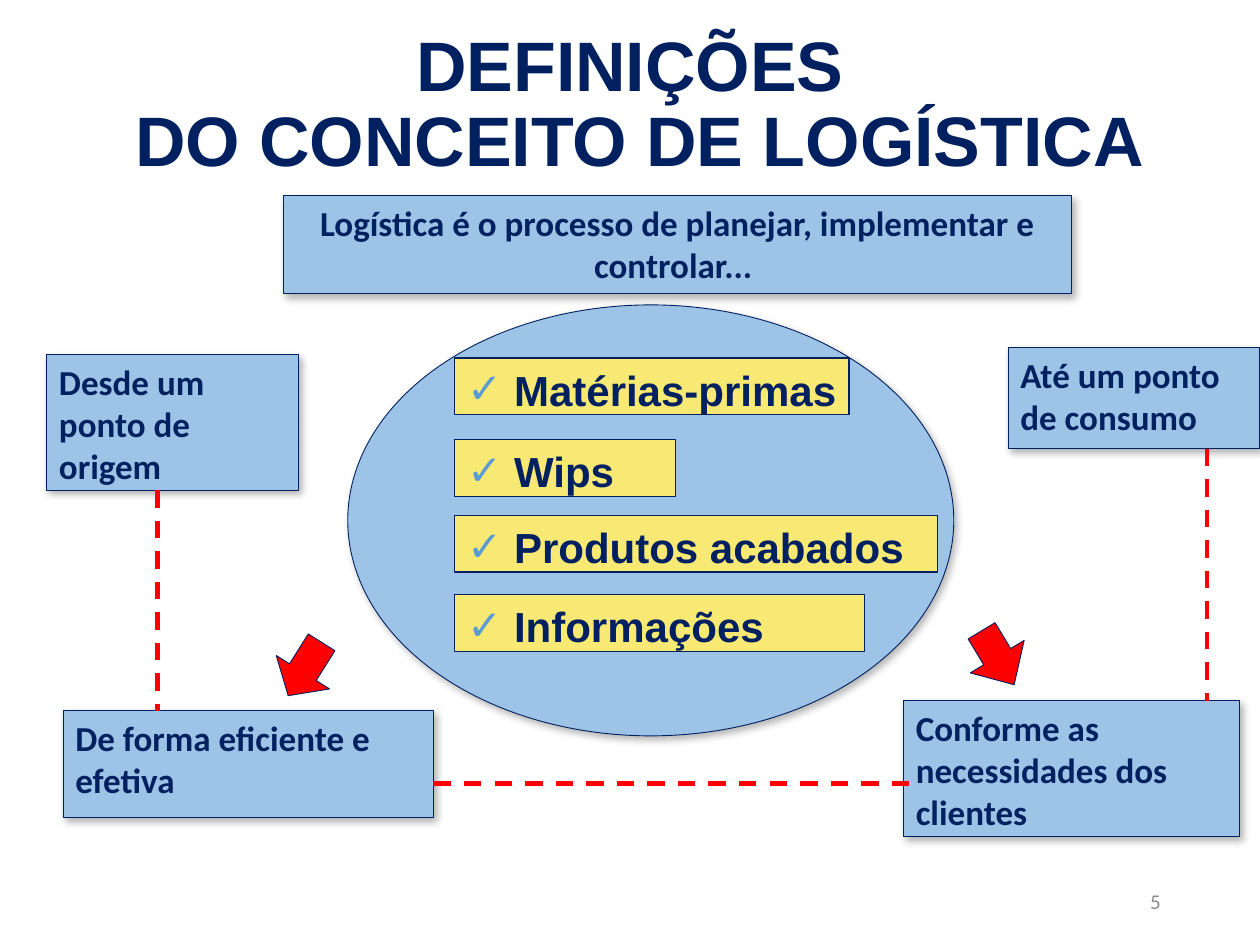
import pptx
import pptx.util
from lxml import etree
from pptx.dml.color import RGBColor
from pptx.enum.dml import MSO_LINE
from pptx.enum.shapes import MSO_CONNECTOR, MSO_SHAPE
from pptx.enum.text import MSO_ANCHOR, PP_ALIGN
from pptx.oxml.ns import qn

NAVY = RGBColor(0x00, 0x20, 0x60)
SKY = RGBColor(0x9D, 0xC3, 0xE6)
YELLOW = RGBColor(0xF8, 0xE8, 0x74)
RED = RGBColor(0xFF, 0x00, 0x00)
GRAY = RGBColor(0x8C, 0x8C, 0x8C)
CHECK = RGBColor(0x5B, 0x9B, 0xD5)
WHITE = RGBColor(0xFF, 0xFF, 0xFF)
COLS, ROWS = 100, 75


def write(tf, text, font="Calibri", size=20, color=NAVY, bold=True,
          align=PP_ALIGN.LEFT, anchor=MSO_ANCHOR.TOP, spacing=None):
    """Fill a text frame with one formatted paragraph and return it."""
    tf.word_wrap = True
    tf.vertical_anchor = anchor
    p = tf.paragraphs[0]
    p.text = text
    p.alignment = align
    if spacing:
        p.line_spacing = spacing
    for r in p.runs:
        r.font.name, r.font.size, r.font.bold = font, pptx.util.Pt(size), bold
        r.font.color.rgb = color
    return p


def add_check(p, indent):
    """Give a paragraph a check mark bullet with a hanging indent."""
    pPr = p._p.get_or_add_pPr()
    pPr.set("marL", str(indent))
    pPr.set("indent", str(-indent))
    clr = etree.SubElement(pPr, qn("a:buClr"))
    etree.SubElement(clr, qn("a:srgbClr"), val=str(CHECK))
    etree.SubElement(pPr, qn("a:buFont"), typeface="Arial")
    etree.SubElement(pPr, qn("a:buChar"), char="✓")


def add_shadow(sp):
    """Give a shape a soft shadow to the lower right."""
    effects = sp._element.spPr.find(qn("a:effectLst"))
    shadow = etree.SubElement(effects, qn("a:outerShdw"), blurRad="57150",
                              dist="33020", dir="3180000", algn="ctr",
                              rotWithShape="0")
    clr = etree.SubElement(shadow, qn("a:srgbClr"), val="000000")
    etree.SubElement(clr, qn("a:alpha"), val="30000")


class Deck:
    """Holds the grid, the style and the current slide."""

    def __init__(self):
        """Start a 4:3 presentation with one title-only slide."""
        self.prs = pptx.Presentation()
        self.prs.slide_width = pptx.util.Inches(10)
        self.prs.slide_height = pptx.util.Inches(7.5)
        self.s = self.prs.slides.add_slide(self.prs.slide_layouts[5])
        self.s.background.fill.solid()
        self.s.background.fill.fore_color.rgb = WHITE

    def x(self, cols):
        """Turn grid columns into a length."""
        return round(self.prs.slide_width * cols / COLS)

    def y(self, rows):
        """Turn grid rows into a length."""
        return round(self.prs.slide_height * rows / ROWS)

    def box(self, left, top, width, height):
        """Turn a grid rectangle into lengths."""
        return self.x(left), self.y(top), self.x(width), self.y(height)

    def title(self, text, *at):
        """Place and fill the title placeholder."""
        sp = self.s.shapes.title
        sp.left, sp.top, sp.width, sp.height = self.box(*at)
        write(sp.text_frame, text, font="Arial", size=40, spacing=0.9,
              align=PP_ALIGN.CENTER, anchor=MSO_ANCHOR.MIDDLE)

    def number(self, text, *at):
        """Add the page number."""
        tb = self.s.shapes.add_textbox(*self.box(*at))
        write(tb.text_frame, text, size=12, color=GRAY, bold=False,
              align=PP_ALIGN.RIGHT, anchor=MSO_ANCHOR.MIDDLE)

    def shape(self, kind, at, fill, line=0.5):
        """Add a filled preset shape with a navy outline."""
        sp = self.s.shapes.add_shape(kind, *self.box(*at))
        sp.fill.solid()
        sp.fill.fore_color.rgb = fill
        sp.line.color.rgb = NAVY
        sp.line.width = pptx.util.Pt(line)
        sp.shadow.inherit = False
        return sp

    def panel(self, at, text="", kind=MSO_SHAPE.RECTANGLE, align=PP_ALIGN.LEFT):
        """Add a blue shadowed panel."""
        sp = self.shape(kind, at, SKY)
        add_shadow(sp)
        if text:
            write(sp.text_frame, text, align=align)

    def item(self, at, text):
        """Add a yellow label with a check mark."""
        sp = self.shape(MSO_SHAPE.RECTANGLE, at, YELLOW, line=0.75)
        sp.text_frame.margin_right = 0
        add_check(write(sp.text_frame, text, font="Arial", size=24), self.x(2.7))

    def arrow(self, at, turn, head):
        """Add a turned red block arrow."""
        sp = self.shape(MSO_SHAPE.DOWN_ARROW, at, RED)
        sp.adjustments[0], sp.adjustments[1] = 0.5, head
        sp.rotation = turn

    def dashes(self, x1, y1, x2, y2):
        """Add a dashed red line."""
        c = self.s.shapes.add_connector(MSO_CONNECTOR.STRAIGHT, self.x(x1),
                                        self.y(y1), self.x(x2), self.y(y2))
        c.line.color.rgb = RED
        c.line.width = pptx.util.Pt(2.5)
        c.line.dash_style = MSO_LINE.DASH
        etree.SubElement(c._element.spPr, qn("a:effectLst"))


def main():
    """Build the slide and save it."""
    d = Deck()
    d.title("DEFINIÇÕES\v DO CONCEITO DE LOGÍSTICA", 6.9, 1.2, 86.2, 14.5)
    d.number("5", 70.6, 69.5, 22.5, 4)
    d.panel((22.5, 15.5, 62.5, 7.8), "Logística é o processo de planejar, "
            "implementar e controlar... ", align=PP_ALIGN.CENTER)
    d.panel((27.6, 24.2, 48.1, 34.2), kind=MSO_SHAPE.OVAL)

    for top, width, text in ((28.4, 31.3, "Matérias-primas"),
                             (34.9, 17.5, "Wips"),
                             (40.9, 38.3, "Produtos acabados"),
                             (47.2, 32.5, "Informações")):
        d.item((36.1, top, width, 4.5), " " + text)

    for at, text in (
            ((3.7, 28.1, 20, 10.8), "Desde um ponto de origem"),
            ((80, 27.6, 20, 8), "Até um ponto de consumo"),
            ((5, 56.4, 29.4, 8.5), "De forma eficiente e efetiva"),
            ((71.7, 55.6, 26.7, 10.8), "Conforme as necessidades dos clientes")):
        d.panel(at, text)

    for ends in ((34.4, 62.2, 72.2, 62.2), (12.5, 38.9, 12.5, 56.4),
                 (95.8, 35.6, 95.8, 55.6)):
        d.dashes(*ends)

    d.arrow((21.7, 50.6, 5, 5), 32.1, 0.44)
    d.arrow((76.7, 49.7, 5, 5), 328.9, 0.52)
    d.prs.save("out.pptx")


main()
